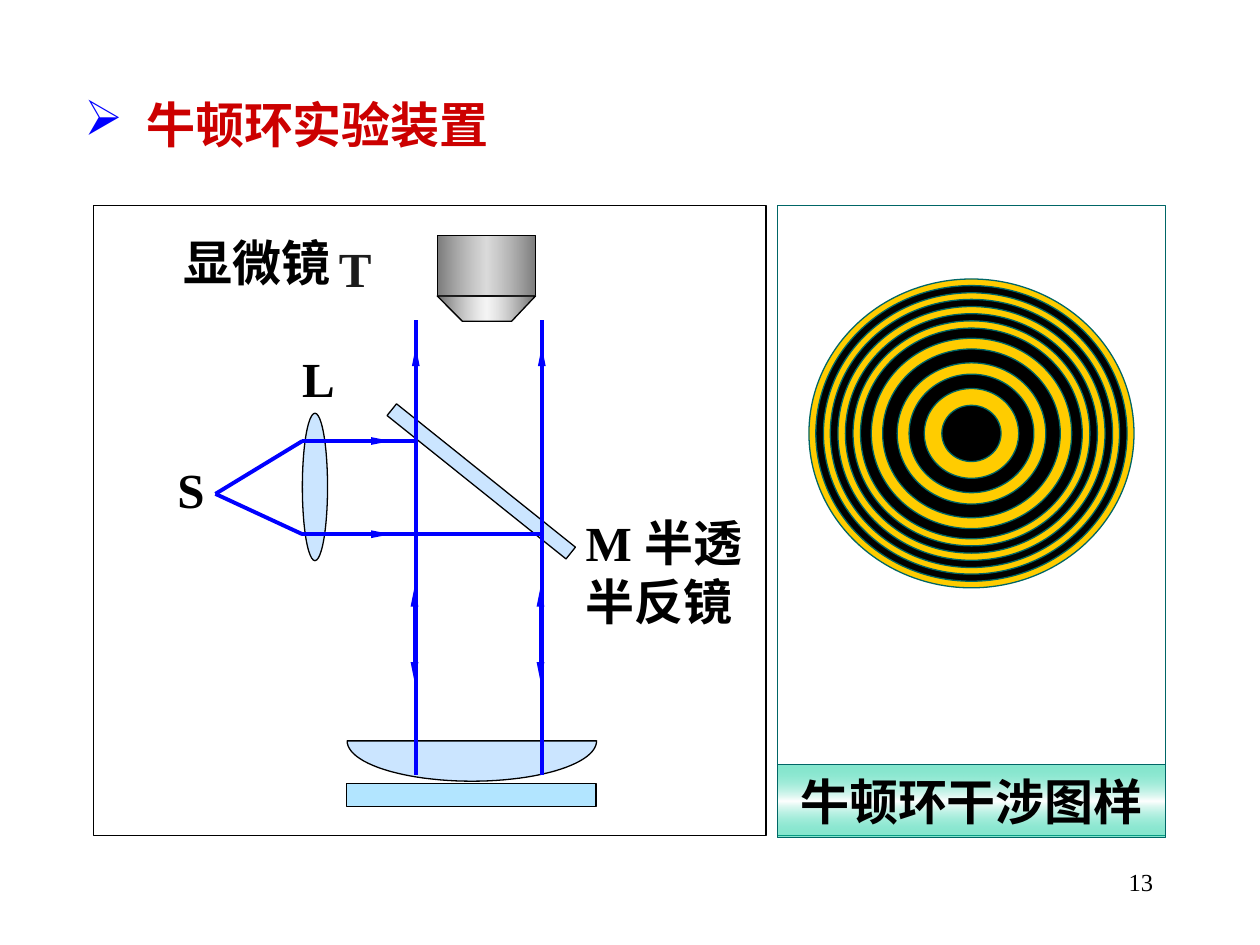
from math import cos, pi, sin

from lxml.etree import SubElement
from pptx import Presentation
from pptx.dml.color import RGBColor
from pptx.enum.shapes import MSO_CONNECTOR, MSO_SHAPE
from pptx.enum.text import MSO_ANCHOR, MSO_AUTO_SIZE, PP_ALIGN
from pptx.oxml.ns import qn
from pptx.util import Inches, Pt

COLUMNS, ROWS = 100, 75
BLACK, WHITE, BLUE, TEAL = "000000", "FFFFFF", "0000FF", "006666"
YELLOW, GLASS, PLATE = "FFCC00", "99CCFF", "66CCFF"
HEADING = {"name": "Times New Roman", "size": Pt(28), "bold": True}
NUMBER = {"name": "Times New Roman", "size": Pt(14), "bold": False}


def color(value):
    return RGBColor.from_string(value)


def child(parent, tag, **values):
    return SubElement(parent, qn(tag), values)


class Board:
    """Holds the style and the current slide; lengths are grid columns and rows."""

    def __init__(self, deck):
        self.column = deck.slide_width / COLUMNS
        self.row = deck.slide_height / ROWS
        self.slide = deck.slides.add_slide(deck.slide_layouts[5])
        self.shapes = self.slide.shapes

    def point(self, x, y):
        return round(x * self.column), round(y * self.row)

    def set_text(self, shape, text, ink=BLACK, style=HEADING, align=PP_ALIGN.LEFT,
                 wrap=True, anchor=MSO_ANCHOR.TOP, bullet=None):
        frame = shape.text_frame
        settings = {"word_wrap": wrap, "auto_size": MSO_AUTO_SIZE.NONE,
                    "vertical_anchor": anchor, "text": text}
        for name, value in settings.items():
            setattr(frame, name, value)
        para = frame.paragraphs[0]
        para.alignment = align
        if bullet:
            sign, tint, indent = bullet
            props = para._p.get_or_add_pPr()
            gap = round(indent * self.column)
            props.set("marL", str(gap))
            props.set("indent", str(-gap))
            child(child(props, "a:buClr"), "a:srgbClr", val=tint)
            child(props, "a:buChar", char=sign)
        span = para.runs[0]
        for name, value in style.items():
            setattr(span.font, name, value)
        span.font.color.rgb = color(ink)

    def title(self, box, text, **options):
        holder = self.shapes.title
        holder.left, holder.top = self.point(*box[:2])
        holder.width, holder.height = self.point(*box[2:])
        self.set_text(holder, text, **options)

    def label(self, box, text, **options):
        holder = self.shapes.add_textbox(*self.point(*box[:2]), *self.point(*box[2:]))
        self.set_text(holder, text, **options)

    def finish(self, shape, fill, line, opacity):
        shape.shadow.inherit = False
        shape.fill.solid()
        shape.fill.fore_color.rgb = color(fill)
        if opacity < 100:
            tone = shape._element.spPr.find(qn("a:solidFill"))[0]
            child(tone, "a:alpha", val=str(opacity * 1000))
        shape.line.color.rgb = color(line)
        shape.line.width = Pt(0.75)
        return shape

    def shape(self, kind, box, fill, line=BLACK, opacity=100, turn=0):
        shape = self.shapes.add_shape(kind, *self.point(*box[:2]), *self.point(*box[2:]))
        shape.rotation = turn
        return self.finish(shape, fill, line, opacity)

    def outline(self, corners, fill, opacity=100):
        points = [self.point(*corner) for corner in corners]
        builder = self.shapes.build_freeform(*points[0])
        builder.add_line_segments(points[1:], close=True)
        return self.finish(builder.convert_to_shape(), fill, BLACK, opacity)

    def shade(self, shape, edge, middle, angle):
        """Gradient from edge to middle and back; each tone is (colour, opacity)."""
        shape.fill.gradient()
        shape.fill.gradient_angle = angle
        stops = shape._element.spPr.find(qn("a:gradFill")).find(qn("a:gsLst"))
        for stop in list(stops):
            stops.remove(stop)
        for place, (tone, opacity) in zip((0, 50, 100), (edge, middle, edge)):
            stop = child(stops, "a:gs", pos=str(place * 1000))
            child(child(stop, "a:srgbClr", val=tone), "a:alpha", val=str(opacity * 1000))

    def ray(self, start, end, arrows=()):
        ray = self.shapes.add_connector(
            MSO_CONNECTOR.STRAIGHT, *self.point(*start), *self.point(*end))
        ray.line.color.rgb = color(BLUE)
        ray.line.width = Pt(2.25)
        for arrow in arrows:
            child(ray.line._get_or_add_ln(), arrow, type="triangle", w="sm", len="lg")
        child(ray._element.spPr, "a:effectLst")


def draw_pattern(board):
    board.shape(MSO_SHAPE.RECTANGLE, (61.7, 16.3, 30.8, 50), WHITE, TEAL)
    caption = board.shape(MSO_SHAPE.RECTANGLE, (61.7, 60.7, 30.8, 5.8), WHITE, TEAL)
    board.shade(caption, ("00CC99", 47), (WHITE, 100), 90)
    board.set_text(caption, "牛顿环干涉图样", align=PP_ALIGN.CENTER, anchor=MSO_ANCHOR.MIDDLE)
    # Concentric rings, bright and dark in turn
    widths = (25.8, 24.7, 23.5, 22.4, 21.2, 20, 18.8, 17.6,
              15.9, 14.1, 11.8, 9.9, 7.5, 4.7)
    for index, width in enumerate(widths):
        height = width * 0.95
        board.shape(MSO_SHAPE.OVAL, (77.1 - width / 2, 34.4 - height / 2, width, height),
                    BLACK if index % 2 else YELLOW, TEAL)


def draw_apparatus(board):
    head, tail = "a:headEnd", "a:tailEnd"
    left, right, upper, lower = 33, 43, 35, 42.4
    board.shape(MSO_SHAPE.RECTANGLE, (7.4, 16.3, 53.4, 50), WHITE)
    board.label((13.6, 18, 29.1, 5.7), "显微镜")

    # Plano-convex lens below, and the collimating lens
    arc = [(37.45 - 9.9 * cos(pi * step / 48), 58.8 + 3.2 * sin(pi * step / 48))
           for step in range(49)]
    board.outline(arc, GLASS, 50)
    board.shape(MSO_SHAPE.OVAL, (24, 32.8, 2, 11.7), GLASS, opacity=50)

    # Light from the source, the mirror, and the beams
    source = (17.1, 39.2)
    for level in (upper, lower):
        board.ray(source, (24, level))
    board.ray((24, upper), (left, upper))
    board.shape(MSO_SHAPE.RECTANGLE, (37.6, 29.1, 1.2, 18.2), GLASS, opacity=50, turn=308.7)
    for beam in (right, left):
        board.ray((beam, 25.4), (beam, 61.5))
    board.ray((24, lower), (right, lower))
    board.label((13.1, 36, 4.2, 5.7), "S", wrap=False)
    board.label((23, 27.2, 4.6, 5.7), "L", wrap=False)

    # Direction arrows
    for beam in (left, right):
        board.ray((beam - 0.1, 46.6), (beam - 0.1, 54.1), (head, tail))
        board.ray((beam, 27.5), (beam, 30.5), (head,))
    for level in (upper, lower):
        board.ray((28, level), (31, level), (tail,))

    # Glass plate and remaining labels
    board.shape(MSO_SHAPE.RECTANGLE, (27.5, 62.2, 19.8, 1.8), PLATE, opacity=50)
    board.label((45.5, 40.2, 16.2, 10.3), "M 半透半反镜")
    board.label((25.9, 18.4, 13.9, 5.7), "T", ink="1C1C1C")

    # Microscope
    barrel = board.shape(MSO_SHAPE.RECTANGLE, (34.7, 18.7, 7.8, 4.8), WHITE)
    board.shade(barrel, ("7B7B7B", 100), ("C0C0C0", 57), 0)
    nose = board.outline([(34.7, 23.5), (36.7, 25.5), (40.6, 25.5), (42.5, 23.5)], WHITE)
    board.shade(nose, ("6A6A6A", 100), ("C0C0C0", 15), 0)


def main():
    deck = Presentation()
    deck.slide_width, deck.slide_height = Inches(10), Inches(7.5)
    board = Board(deck)
    board.title((5.7, 7, 54.2, 5.7), "牛顿环实验装置", ink="CC0000", bullet=("➢", BLUE, 4.9))
    draw_pattern(board)
    draw_apparatus(board)
    board.label((71.7, 68.3, 20.8, 5), "13", style=NUMBER, align=PP_ALIGN.RIGHT)
    deck.save("out.pptx")


if __name__ == "__main__":
    main()
